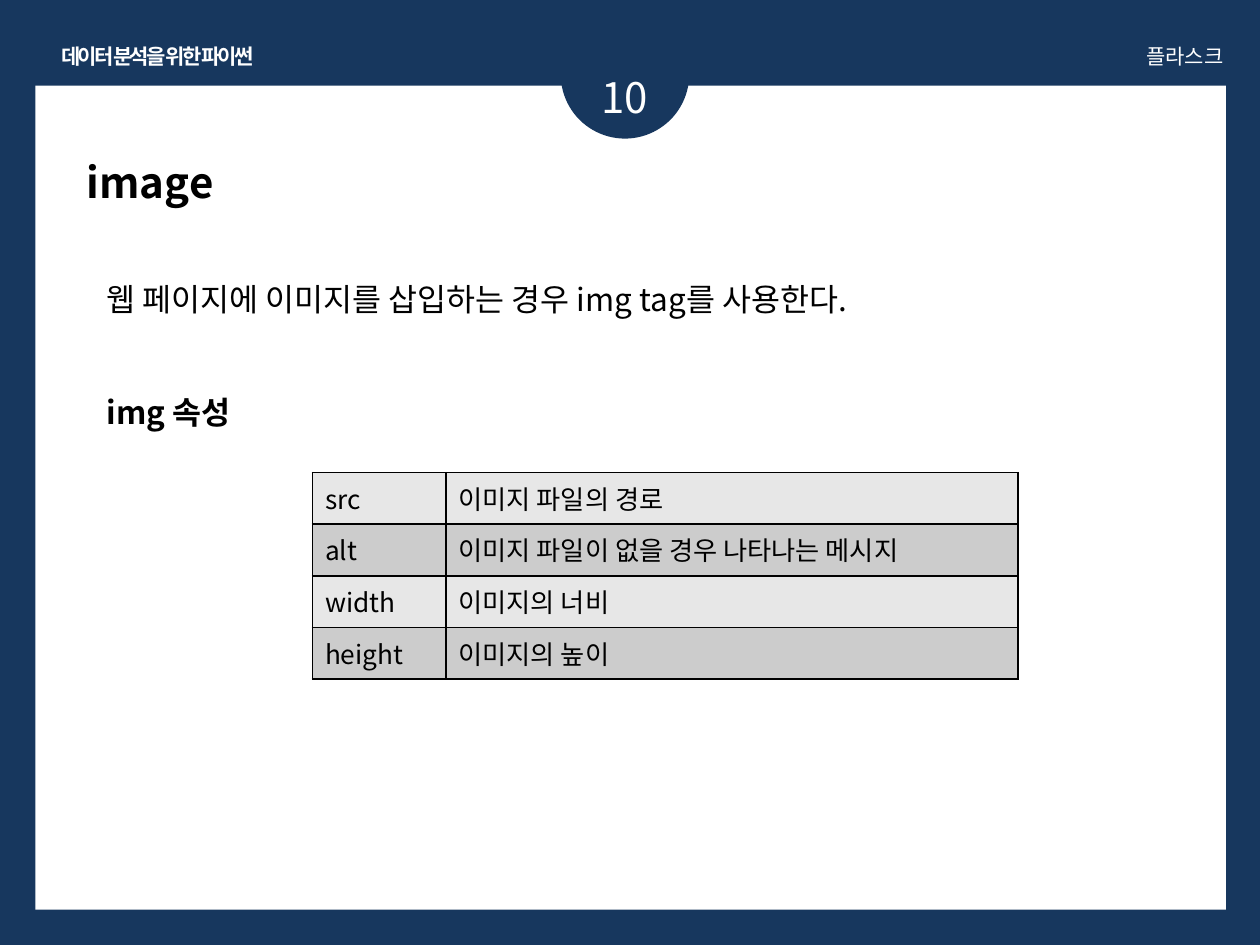
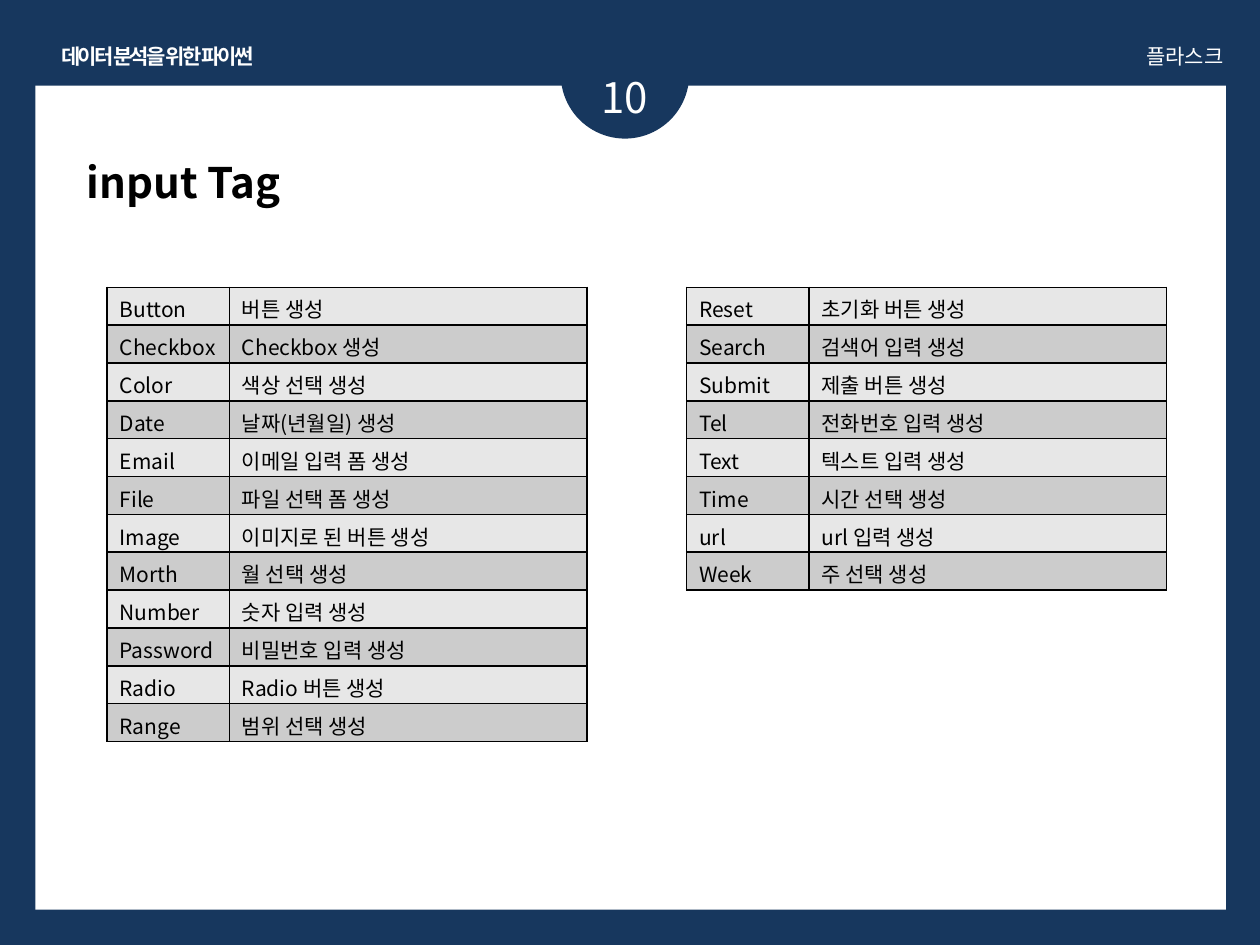
from dataclasses import dataclass

from lxml import etree
from pptx import Presentation
from pptx import util as u
from pptx.dml.color import RGBColor
from pptx.enum import shapes, text
from pptx.oxml import ns


@dataclass(frozen=True)
class Theme:
    font: str = "Noto Sans CJK KR"
    navy: RGBColor = RGBColor(0x17, 0x37, 0x5E)
    white: RGBColor = RGBColor(0xFF, 0xFF, 0xFF)
    black: RGBColor = RGBColor(0, 0, 0)
    stripes: tuple = (RGBColor(0xE7, 0xE7, 0xE7), RGBColor(0xCC, 0xCC, 0xCC))
    title: int = 24
    body: int = 18
    header: int = 12
    large_cell: int = 15
    small_cell: int = 12


theme = Theme()


def write(frame, lines, size, color, bold=False, align=text.PP_ALIGN.LEFT):
    """Fill a text frame with one paragraph per line and format its runs."""
    frame.text = "\n".join(lines)
    for para in frame.paragraphs:
        para.alignment = align
        for span in para.runs:
            span.font.size = u.Pt(size)
            span.font.bold = bold
            span.font.color.rgb = color
            span.font.name = theme.font
            east_asian = etree.SubElement(span.font._element, ns.qn("a:ea"))
            east_asian.set("typeface", theme.font)


def add_text(page, place, lines, size, color, wrap=True, **style):
    """Add a text box at (left, top, width, height) in inches."""
    box = page.shapes.add_textbox(*map(u.Inches, place))
    frame = box.text_frame
    write(frame, lines, size, color, **style)
    frame.word_wrap = wrap
    frame.auto_size = text.MSO_AUTO_SIZE.SHAPE_TO_FIT_TEXT
    return frame


# Slide content
titles = ["image", "input Tag"]

image_attributes = [
    ("src", "이미지 파일의 경로"),
    ("alt", "이미지 파일이 없을 경우 나타나는 메시지"),
    ("width", "이미지의 너비"),
    ("height", "이미지의 높이"),
]
input_types_left = [
    ("Button", "버튼 생성"),
    ("Checkbox", "Checkbox 생성"),
    ("Color", "색상 선택 생성"),
    ("Date", "날짜(년월일) 생성"),
    ("Email", "이메일 입력 폼 생성"),
    ("File", "파일 선택 폼 생성"),
    ("Image", "이미지로 된 버튼 생성"),
    ("Morth", "월 선택 생성"),
    ("Number", "숫자 입력 생성"),
    ("Password", "비밀번호 입력 생성"),
    ("Radio", "Radio 버튼 생성"),
    ("Range", "범위 선택 생성"),
]
input_types_right = [
    ("Reset", "초기화 버튼 생성"),
    ("Search", "검색어 입력 생성"),
    ("Submit", "제출 버튼 생성"),
    ("Tel", "전화번호 입력 생성"),
    ("Text", "텍스트 입력 생성"),
    ("Time", "시간 선택 생성"),
    ("url", "url 입력 생성"),
    ("Week", "주 선택 생성"),
]

deck = Presentation()
deck.slide_width, deck.slide_height = u.Inches(10), u.Inches(7.5)
deck.slide_master.background.fill.solid()
deck.slide_master.background.fill.fore_color.rgb = theme.navy

# Frame, header and title on every slide
pages = []
for title in titles:
    page = deck.slides.add_slide(deck.slide_layouts[6])
    pages.append(page)
    for kind, place, color in [
        (shapes.MSO_SHAPE.RECTANGLE, (0.28, 0.68, 9.45, 6.54), theme.white),
        (shapes.MSO_SHAPE.OVAL, (4.45, 0.08, 1.02, 1.02), theme.navy),
    ]:
        shape = page.shapes.add_shape(kind, *map(u.Inches, place))
        shape.shadow.inherit = False
        shape.fill.solid()
        shape.fill.fore_color.rgb = color
        shape.line.fill.background()

    course = add_text(page, (0.28, 0.3, 1.94, 0.3), ["데이터 분석을 위한 파이썬"], theme.header,
                      theme.white, wrap=False, bold=True, align=text.PP_ALIGN.CENTER)
    course.paragraphs[0].runs[0].font._element.set("spc", "-150")
    add_text(page, (4.37, 0.52, 1.18, 0.5), ["10"], theme.title, theme.white,
             align=text.PP_ALIGN.CENTER)
    add_text(page, (5.87, 0.3, 3.94, 0.3), ["플라스크"], theme.header, theme.white,
             align=text.PP_ALIGN.RIGHT)
    add_text(page, (0.59, 1.19, 8.74, 0.5), [title], theme.title, theme.black, bold=True)

image_page, input_page = pages

# Explanation of the img tag
body = add_text(image_page, (0.75, 2.02, 9.89, 1.41),
                ["웹 페이지에 이미지를 삽입하는 경우 img tag를 사용한다.", "img 속성"],
                theme.body, theme.black)
for para in body.paragraphs:
    para.line_spacing = 1.5
heading = body.paragraphs[1]
heading.space_before = u.Pt(32.4)
heading.runs[0].font.bold = True

# Striped tables: page, left, top, column widths, row height, type size, rows
input_columns = (0.97, 2.84)
for page, left, top, columns, row_height, size, rows in [
    (image_page, 2.48, 3.75, (1.06, 4.54), 0.41, theme.large_cell, image_attributes),
    (input_page, 0.85, 2.28, input_columns, 0.3, theme.small_cell, input_types_left),
    (input_page, 5.45, 2.28, input_columns, 0.3, theme.small_cell, input_types_right),
]:
    place = (left, top, sum(columns), row_height * len(rows))
    table = page.shapes.add_table(len(rows), len(columns), *map(u.Inches, place)).table
    table.first_row = table.horz_banding = False
    for column, width in zip(table.columns, columns):
        column.width = u.Inches(width)
    for row_index, row in enumerate(rows):
        table.rows[row_index].height = u.Inches(row_height)
        for column_index, label in enumerate(row):
            cell = table.cell(row_index, column_index)
            write(cell.text_frame, [label], size, theme.black)
            cell.fill.solid()
            cell.fill.fore_color.rgb = theme.stripes[row_index % 2]
            # Borders go ahead of the fill
            properties = cell._tc.get_or_add_tcPr()
            for position, side in enumerate(("lnL", "lnR", "lnT", "lnB")):
                border = etree.Element(ns.qn(f"a:{side}"), w=str(u.Pt(1)))
                paint = etree.SubElement(border, ns.qn("a:solidFill"))
                etree.SubElement(paint, ns.qn("a:srgbClr"), val=str(theme.black))
                properties.insert(position, border)

deck.save("out.pptx")
